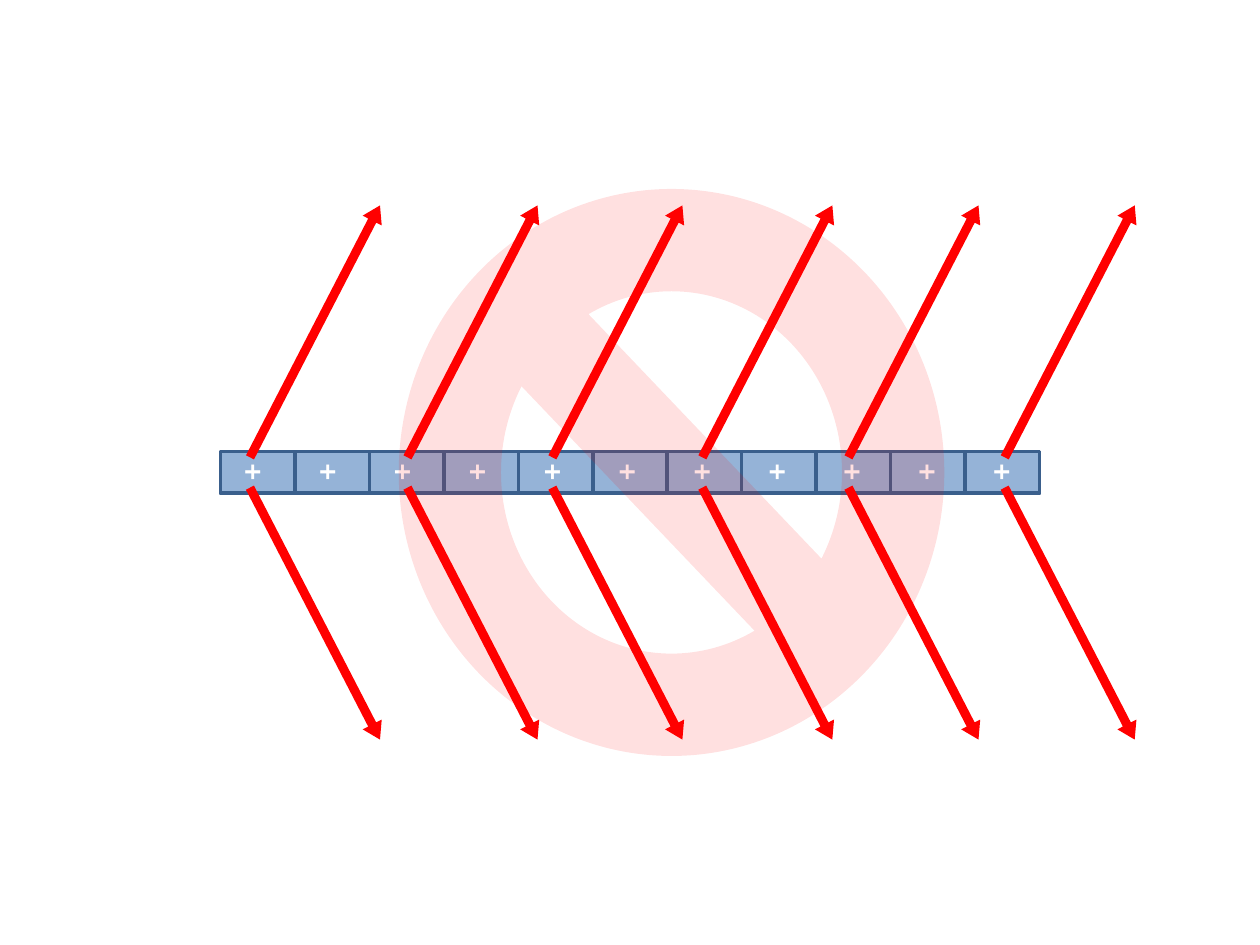
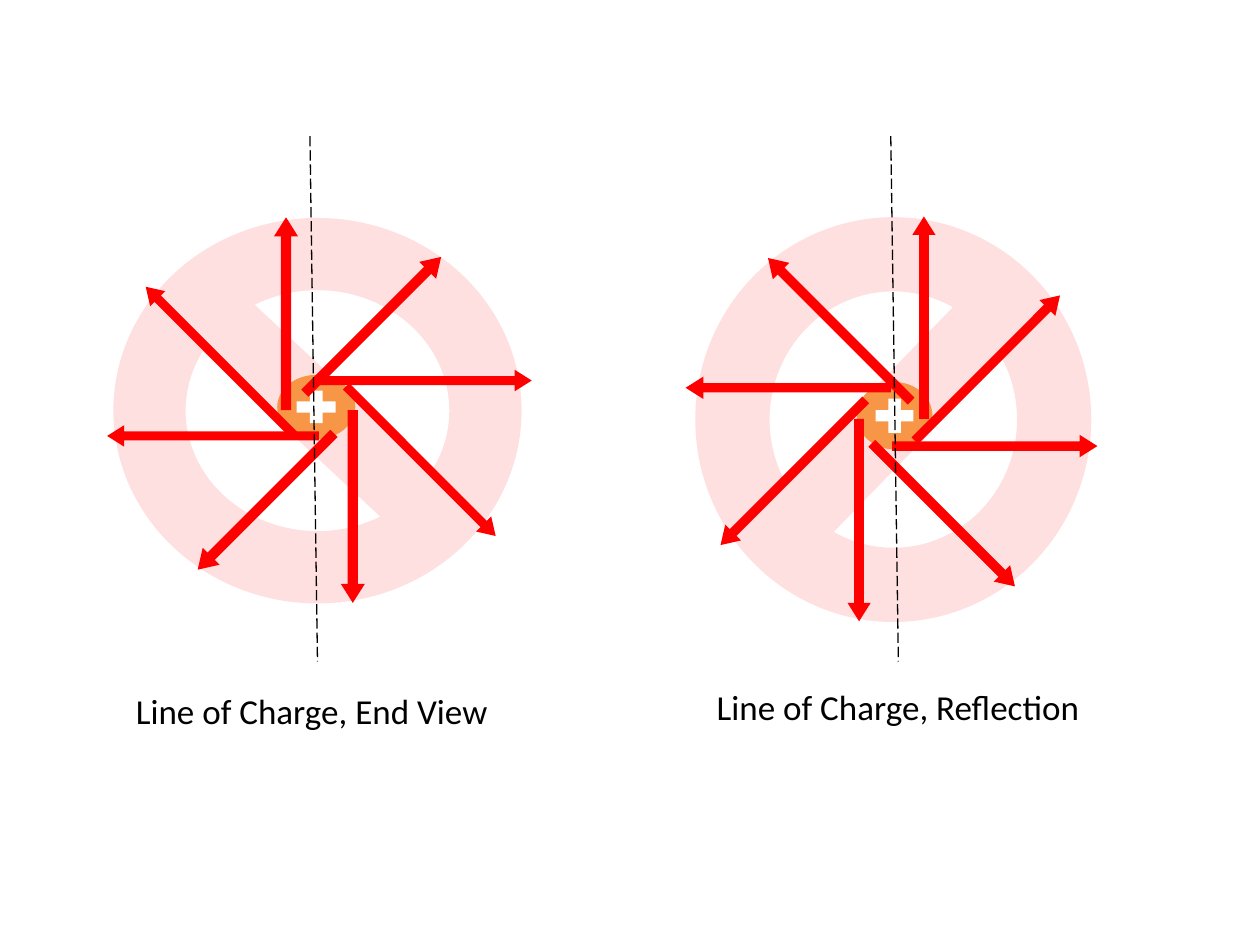
"""Draw two slides on the field of a line of charge: side view and end views."""
from dataclasses import dataclass
from typing import Optional, Union

from lxml.etree import SubElement
from pptx import Presentation
from pptx.dml.color import RGBColor
from pptx.enum.dml import MSO_LINE
from pptx.enum.shapes import MSO_CONNECTOR, MSO_SHAPE as SHAPE
from pptx.enum.text import MSO_ANCHOR, MSO_AUTO_SIZE, PP_ALIGN
from pptx.oxml.ns import qn
from pptx.shapes.autoshape import Shape
from pptx.shapes.shapetree import GroupShapes, SlideShapes
from pptx.slide import Slide
from pptx.text.text import _Run as Run
from pptx.util import Inches, Pt

Shapes = Union[GroupShapes, SlideShapes]

RED = RGBColor(0xFF, 0x00, 0x00)
WHITE = RGBColor(0xFF, 0xFF, 0xFF)
BLACK = RGBColor(0x00, 0x00, 0x00)
ROD_BLUE = RGBColor(0x95, 0xB3, 0xD7)
EDGE_BLUE = RGBColor(0x3A, 0x5F, 0x8C)
ORANGE = RGBColor(0xF7, 0x96, 0x46)
FONT = "Calibri"

ROD_X, ROD_Y, ROD_LENGTH, ROD_HEIGHT = 5.0, 3.75, 6.5, 0.33
CELLS = 11
UNDIVIDED_CELL = 9
FIELD_XS = (2.5, 3.75, 4.9, 6.09, 7.25, 8.49)
FIELD_RISE = 1.12
FIELD_ANGLE = 62.7


@dataclass(frozen=True)
class Arrow:
    """Arrow centre relative to the wheel centre, with heading and size."""
    dx: float
    dy: float
    heading: float
    wide: bool


@dataclass(frozen=True)
class Wheel:
    """End view of the line of charge, with its axis and caption."""
    x: float
    y: float
    scale_x: float
    scale_y: float
    mirrored: bool
    axis_x: float
    caption: str
    caption_x: float
    caption_y: float


ARROWS = (
    Arrow(0.86, -0.24, 0, True),
    Arrow(0.28, 0.76, 90, False),
    Arrow(-0.83, 0.2, 180, True),
    Arrow(-0.25, -0.77, 270, False),
    Arrow(0.44, -0.68, 315, False),
    Arrow(0.82, 0.4, 45, True),
    Arrow(-0.41, 0.72, 135, False),
    Arrow(-0.77, -0.39, 225, True),
)

WHEELS = (
    Wheel(7.09, 3.33, 0.97, 1.05, True, 7.07, "Line of Charge, Reflection", 5.59, 5.39),
    Wheel(2.52, 3.26, 1, 1, False, 2.46, "Line of Charge, End View", 0.98, 5.42),
)


def add_centred(shapes: Shapes, kind: SHAPE, x: float, y: float, width: float, height: float,
                fill: Optional[RGBColor] = None, line: Optional[RGBColor] = None,
                rotation: float = 0) -> Shape:
    """Add a flat shape centred on a point."""
    sp = shapes.add_shape(kind, Inches(x - width / 2), Inches(y - height / 2),
                          Inches(width), Inches(height))
    sp.shadow.inherit = False
    sp.rotation = rotation
    if fill is None:
        sp.fill.background()
    else:
        sp.fill.solid()
        sp.fill.fore_color.rgb = fill
    if line is None:
        sp.line.fill.background()
    else:
        sp.line.color.rgb = line
        sp.line.width = Pt(2)
    return sp


def add_arrow(shapes: Shapes, x: float, y: float, length: float, height: float,
              heading: float) -> None:
    """Add a red arrow; heading is clockwise from the right."""
    sp = add_centred(shapes, SHAPE.LEFT_ARROW, x, y, length, height, RED,
                     rotation=(heading + 180) % 360)
    sp.adjustments[0], sp.adjustments[1] = 0.421, 0.795


def add_ban(shapes: Shapes, x: float, y: float, width: float, height: float,
            mirrored: bool = False) -> None:
    """Add a pale, see-through prohibition ring."""
    sp = add_centred(shapes, SHAPE.NO_SYMBOL, x, y, width, height, RED)
    color = sp.element.spPr.find(qn("a:solidFill"))[0]
    SubElement(color, qn("a:alpha"), val="12000")
    if mirrored:
        sp.element.spPr.xfrm.set("flipH", "1")


def style_run(r: Run, size: int, color: RGBColor, bold: bool = False) -> None:
    """Apply the shared font to a run."""
    r.font.name, r.font.size, r.font.bold = FONT, Pt(size), bold
    r.font.color.rgb = color


def add_rod(shapes: Shapes) -> None:
    """Add the charged rod, its plus signs and its cell borders."""
    sp = add_centred(shapes, SHAPE.RECTANGLE, ROD_X, ROD_Y, ROD_HEIGHT, ROD_LENGTH,
                     ROD_BLUE, EDGE_BLUE, 90)
    tf = sp.text_frame
    tf.vertical_anchor = MSO_ANCHOR.MIDDLE
    tf.margin_left = tf.margin_right = 0
    tf.text = "\n".join("+" * CELLS)
    for i, p in enumerate(tf.paragraphs):
        p.alignment = PP_ALIGN.CENTER
        p.space_before = Pt(21.2 if i else 0)
        style_run(p.runs[0], 18, WHITE, True)
    pitch = ROD_LENGTH / CELLS
    for i in reversed(range(CELLS)):
        if i != UNDIVIDED_CELL:
            add_centred(shapes, SHAPE.RECTANGLE, ROD_X + (i - CELLS // 2) * pitch, ROD_Y,
                        ROD_HEIGHT, pitch, line=EDGE_BLUE, rotation=90)


def add_wheel(shapes: Shapes, wheel: Wheel) -> None:
    """Add the ring, the charge and the arrows of one end view."""
    side = -1 if wheel.mirrored else 1
    sx, sy = wheel.scale_x, wheel.scale_y
    add_ban(shapes, wheel.x, wheel.y, 3.24 * sx, 3.06 * sy, wheel.mirrored)
    hub_x, hub_y = wheel.x - 0.01 * side, wheel.y - 0.03
    add_centred(shapes, SHAPE.OVAL, hub_x, hub_y, 0.62 * sx, 0.51 * sy, ORANGE)
    add_centred(shapes, SHAPE.RECTANGLE, hub_x, hub_y, 0.31 * sx, 0.09, WHITE)
    add_centred(shapes, SHAPE.RECTANGLE, hub_x, hub_y, 0.26 * sy, 0.1, WHITE, rotation=90)
    for arrow in ARROWS:
        length, height = (1.68 * sx, 0.17 * sy) if arrow.wide else (1.53 * sy, 0.19 * sx)
        heading = 180 - arrow.heading if wheel.mirrored else arrow.heading
        add_arrow(shapes, wheel.x + side * arrow.dx * sx, wheel.y + arrow.dy * sy,
                  length, height, heading)


def add_caption(shapes: Shapes, wheel: Wheel) -> None:
    """Add the caption below a wheel."""
    sp = shapes.add_textbox(Inches(wheel.caption_x), Inches(wheel.caption_y),
                            Inches(3.17), Inches(0.44))
    tf = sp.text_frame
    tf.word_wrap = True
    tf.auto_size = MSO_AUTO_SIZE.SHAPE_TO_FIT_TEXT
    tf.text = wheel.caption
    style_run(tf.paragraphs[0].runs[0], 20, BLACK)


def add_axis(shapes: Shapes, x: float) -> None:
    """Add a dashed, slightly tilted mirror axis."""
    line = shapes.add_connector(MSO_CONNECTOR.STRAIGHT, Inches(x), Inches(1.08),
                                Inches(x + 0.06), Inches(5.25))
    line.line.color.rgb = BLACK
    line.line.width = Pt(0.75)
    line.line.dash_style = MSO_LINE.LONG_DASH
    SubElement(line.element.spPr, qn("a:effectLst"))


def build_side_view(slide: Slide) -> None:
    """Build the slide with the rod seen from the side."""
    add_rod(slide.shapes)
    for direction in (-1, 1):
        row = slide.shapes.add_group_shape().shapes
        for x in FIELD_XS:
            add_arrow(row, x, ROD_Y + direction * FIELD_RISE, 2.25, 0.17,
                      direction * FIELD_ANGLE)
    add_ban(slide.shapes, 5.33, 3.75, 4.33, 4.5)


def build_end_views(slide: Slide) -> None:
    """Build the slide with the end view and its reflection."""
    for wheel in WHEELS:
        add_wheel(slide.shapes.add_group_shape().shapes, wheel)
        add_caption(slide.shapes, wheel)
    for wheel in reversed(WHEELS):
        add_axis(slide.shapes, wheel.axis_x)


def main() -> None:
    """Build and save the presentation."""
    prs = Presentation()
    prs.slide_width, prs.slide_height = Inches(10), Inches(7.5)
    for build in (build_side_view, build_end_views):
        build(prs.slides.add_slide(prs.slide_layouts[6]))
    prs.save("out.pptx")


main()
